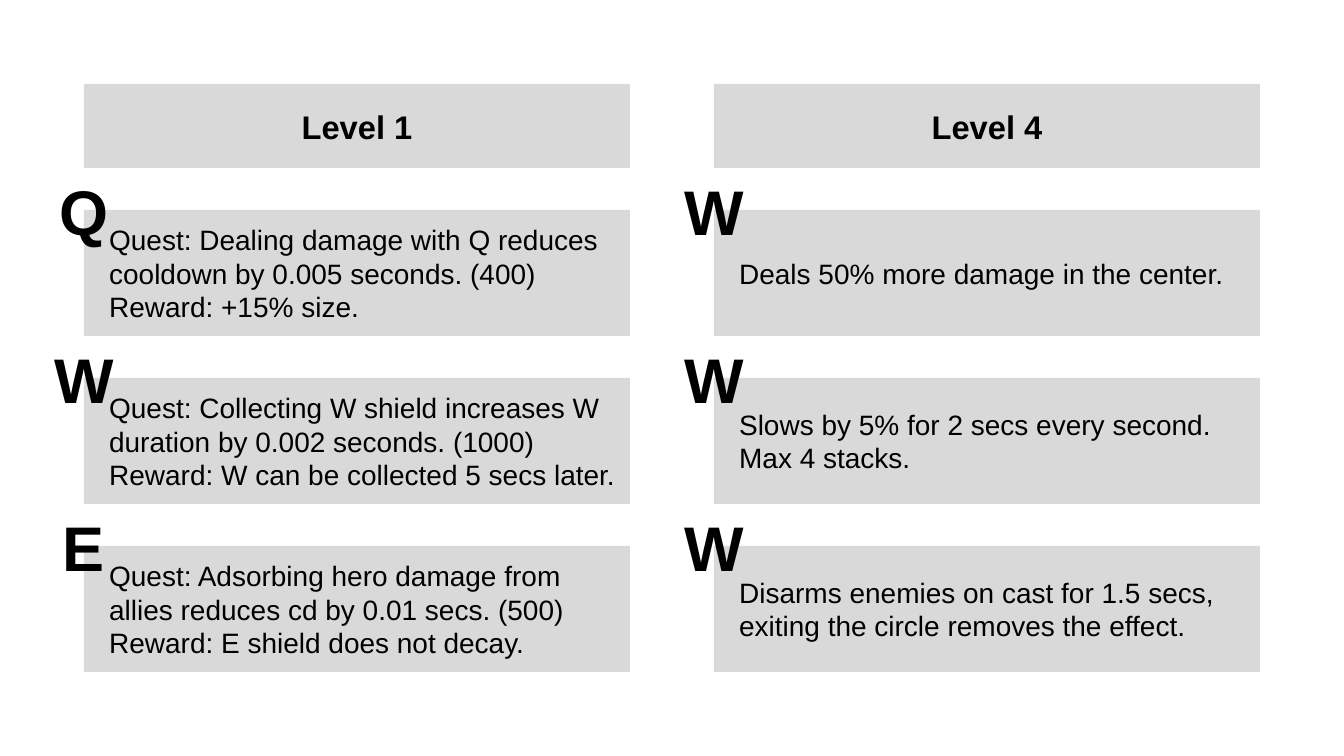
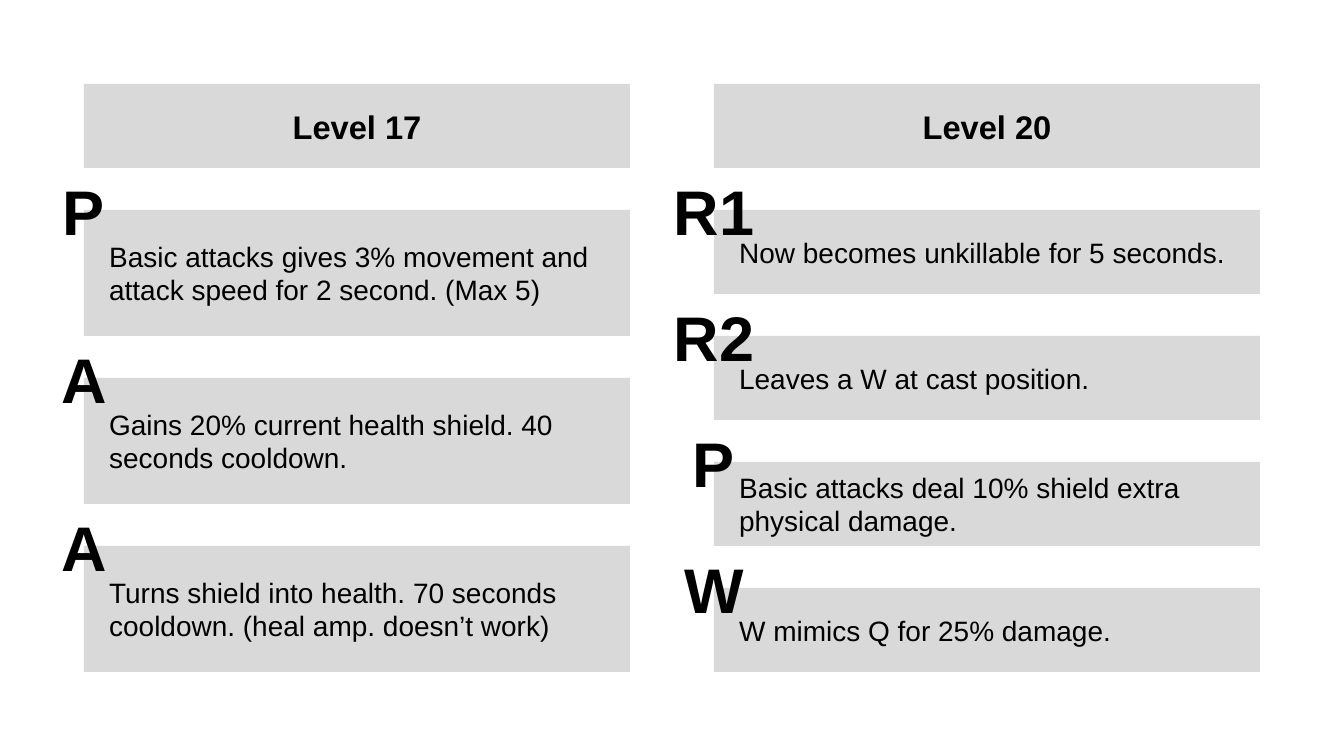
from pptx import Presentation
from pptx.dml.color import RGBColor
from pptx.enum.shapes import MSO_SHAPE
from pptx.enum.text import MSO_ANCHOR, PP_ALIGN
from pptx.util import Cm, Pt

# Each slide holds two columns: a heading, then (key, lines) for each talent.
SLIDES = [
    [
        ("Level 1", [
            ("Q", ["Quest: Dealing damage with Q reduces cooldown by 0.005 seconds. (400)",
                   "Reward: +15% size."]),
            ("W", ["Quest: Collecting W shield increases W duration by 0.002 seconds. (1000)",
                   "Reward: W can be collected 5 secs later."]),
            ("E", ["Quest: Adsorbing hero damage from allies reduces cd by 0.01 secs. (500)",
                   "Reward: E shield does not decay."]),
        ]),
        ("Level 4", [
            ("W", ["Deals 50% more damage in the center."]),
            ("W", ["Slows by 5% for 2 secs every second. Max 4 stacks."]),
            ("W", ["Disarms enemies on cast for 1.5 secs, exiting the circle removes the effect."]),
        ]),
    ],
    [
        ("Level 17", [
            ("P", ["Basic attacks gives 3% movement and attack speed for 2 second. (Max 5)"]),
            ("A", ["Gains 20% current health shield. 40 seconds cooldown."]),
            ("A", ["Turns shield into health. 70 seconds cooldown. (heal amp. doesn’t work)"]),
        ]),
        ("Level 20", [
            ("R1", ["Now becomes unkillable for 5 seconds."]),
            ("R2", ["Leaves a W at cast position."]),
            ("P", ["Basic attacks deal 10% shield extra physical damage."]),
            ("W", ["W mimics Q for 25% damage."]),
        ]),
    ],
]

FONT = "Arial"
BLACK = RGBColor(0x00, 0x00, 0x00)
PANEL_GREY = RGBColor(0xD9, 0xD9, 0xD9)

SLIDE_WIDTH, SLIDE_HEIGHT = Cm(40.64), Cm(22.86)
MARGIN = Cm(2.54)
COLUMN_GAP = Cm(2.54)
COLUMN_WIDTH = (SLIDE_WIDTH - 2 * MARGIN - COLUMN_GAP) // 2
HEADING_HEIGHT = Cm(2.54)
ROW_GAP = Cm(1.27)
KEY_SIZE = Cm(2.54)
TEXT_INDENT = Cm(0.51)


def write_text(shape, lines, size, bold=False, align=PP_ALIGN.CENTER, indent=0):
    """Fill a shape with one vertically centred paragraph per line."""
    frame = shape.text_frame
    frame.word_wrap = True
    frame.vertical_anchor = MSO_ANCHOR.MIDDLE
    frame.text = "\n".join(lines)
    for paragraph in frame.paragraphs:
        paragraph.alignment = align
        if indent:
            properties = paragraph._p.get_or_add_pPr()
            properties.set("marL", str(int(indent)))
            properties.set("indent", "0")
        font = paragraph.runs[0].font
        font.name, font.size, font.bold = FONT, Pt(size), bold
        font.color.rgb = BLACK


def add_panel(slide, left, top, height, lines, **text_format):
    """Add a grey panel as wide as a column."""
    panel = slide.shapes.add_shape(MSO_SHAPE.RECTANGLE, left, top, COLUMN_WIDTH, height)
    panel.shadow.inherit = False
    panel.fill.solid()
    panel.fill.fore_color.rgb = PANEL_GREY
    panel.line.fill.background()
    write_text(panel, lines, **text_format)


def add_key(slide, center_x, center_y, key):
    """Add a large ability key centred on a panel's corner."""
    width = KEY_SIZE * len(key)
    box = slide.shapes.add_textbox(center_x - width // 2, center_y - KEY_SIZE // 2,
                                   width, KEY_SIZE)
    write_text(box, [key], size=54, bold=True)


def add_column(slide, left, heading, talents):
    """Add a heading and equal talent panels that fill the column."""
    add_panel(slide, left, MARGIN, HEADING_HEIGHT, [heading], size=28, bold=True)
    first_top = MARGIN + HEADING_HEIGHT + ROW_GAP
    row_step = (SLIDE_HEIGHT - MARGIN - first_top + ROW_GAP) // len(talents)
    for row, (key, lines) in enumerate(talents):
        top = first_top + row * row_step
        add_panel(slide, left, top, row_step - ROW_GAP, lines, size=24,
                  align=PP_ALIGN.LEFT, indent=TEXT_INDENT)
        add_key(slide, left, top, key)


def main():
    """Build and save the presentation."""
    presentation = Presentation()
    presentation.slide_width, presentation.slide_height = SLIDE_WIDTH, SLIDE_HEIGHT
    blank_layout = presentation.slide_layouts[6]
    for columns in SLIDES:
        slide = presentation.slides.add_slide(blank_layout)
        for index, (heading, talents) in enumerate(columns):
            left = MARGIN + index * (COLUMN_WIDTH + COLUMN_GAP)
            add_column(slide, left, heading, talents)
    presentation.save("out.pptx")


main()
